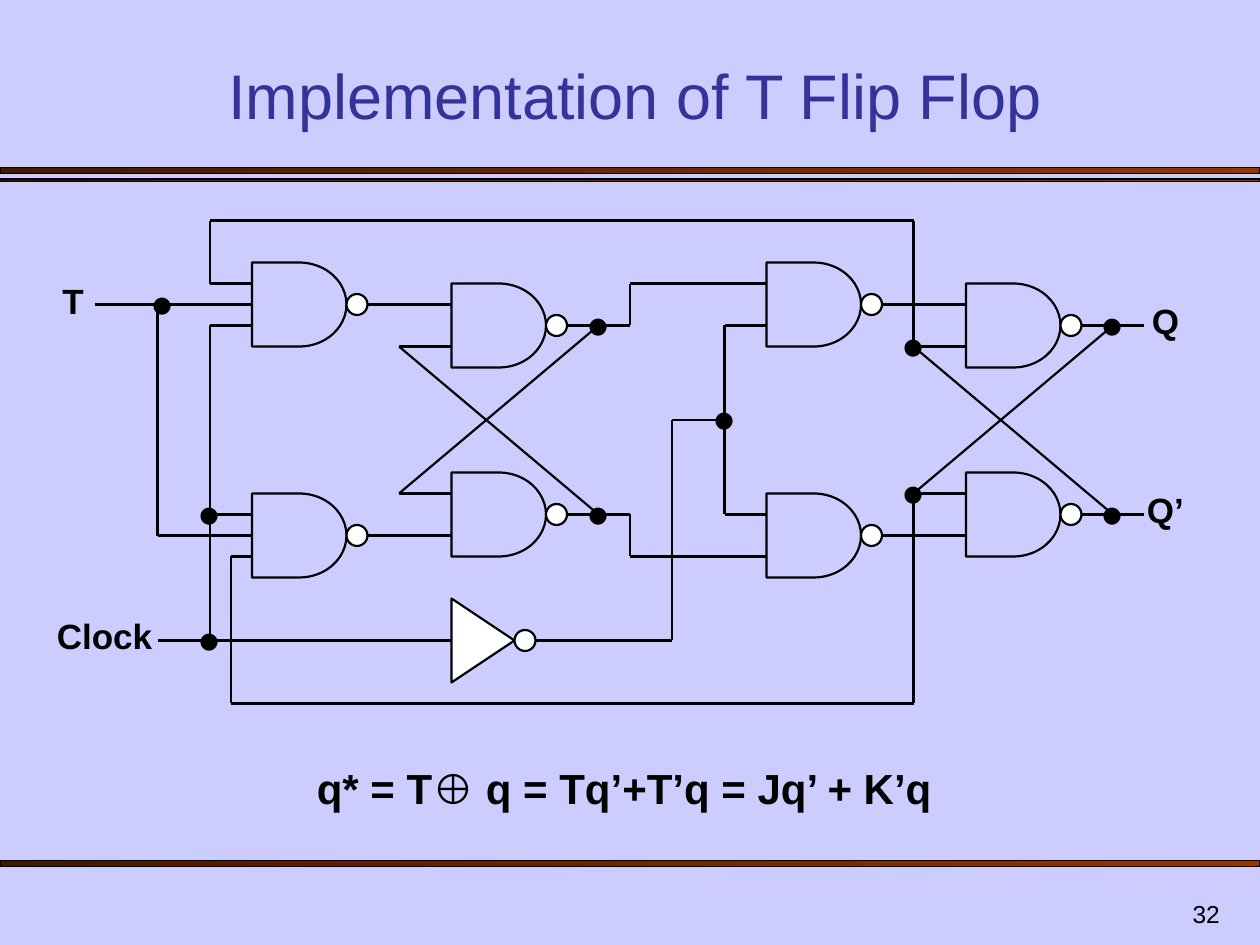
from itertools import pairwise
from typing import NamedTuple

from lxml.etree import SubElement
from pptx import Presentation
from pptx.dml.color import RGBColor
from pptx.enum.shapes import MSO_CONNECTOR, MSO_SHAPE
from pptx.enum.text import MSO_ANCHOR, PP_ALIGN
from pptx.oxml.ns import qn
from pptx.util import Inches, Pt

BLACK, WHITE = "000000", "FFFFFF"
GRID = 12  # circuit grid steps per inch
STAGE_SHIFT = 49  # grid steps between the master and slave stages
LINE_WIDTH = 1.25


class Point(NamedTuple):
    x: float
    y: float


class Label(NamedTuple):
    text: str
    left: float
    top: float
    width: float
    height: float
    size: float
    bold: bool = True


def color(value: str) -> RGBColor:
    return RGBColor.from_string(value)


def steps(count: float) -> int:
    return Inches(count / GRID)


def add_run(paragraph, text: str, size: float, fill: str, bold: bool = False) -> None:
    run = paragraph.add_run()
    run.text = text
    run.font.name = "Arial"
    run.font.size = Pt(size)
    run.font.bold = bold
    run.font.color.rgb = color(fill)


def add_label(slide, label: Label, align=PP_ALIGN.CENTER, anchor=MSO_ANCHOR.TOP) -> None:
    box = slide.shapes.add_textbox(Inches(label.left), Inches(label.top),
                                   Inches(label.width), Inches(label.height))
    frame = box.text_frame
    frame.word_wrap = True
    frame.vertical_anchor = anchor
    paragraph = frame.paragraphs[0]
    paragraph.alignment = align
    add_run(paragraph, label.text, label.size, BLACK, label.bold)


def add_dot(slide, center: Point) -> None:
    left, top = center.x / GRID - 0.25, center.y / GRID - 0.37
    add_label(slide, Label("•", left, top, 0.5, 0.7, 36, False))


def add_wire(slide, *points: tuple[float, float]) -> None:
    for start, end in pairwise(points):
        line = slide.shapes.add_connector(MSO_CONNECTOR.STRAIGHT,
                                          *map(steps, start), *map(steps, end))
        line.line.color.rgb = color(BLACK)
        line.line.width = Pt(LINE_WIDTH)
        SubElement(line._element.spPr, qn("a:effectLst"))


def outline(shape, width: float = LINE_WIDTH) -> None:
    shape.shadow.inherit = False
    shape.line.color.rgb = color(BLACK)
    shape.line.width = Pt(width)


def fill_white(shape) -> None:
    shape.fill.solid()
    shape.fill.fore_color.rgb = color(WHITE)


def add_bubble(shapes, x: float, y: float) -> None:
    bubble = shapes.add_shape(MSO_SHAPE.OVAL, steps(x), steps(y), steps(2), steps(2))
    outline(bubble)
    fill_white(bubble)


def add_nand(slide, x: float, y: float) -> None:
    group = slide.shapes.add_group_shape()
    body = group.shapes.add_shape(MSO_SHAPE.FLOWCHART_DELAY,
                                  steps(x), steps(y), steps(9), steps(8))
    outline(body)
    body.fill.background()
    add_bubble(group.shapes, x + 9, y + 3)


def add_inverter(slide, x: float, y: float) -> None:
    group = slide.shapes.add_group_shape()
    builder = group.shapes.build_freeform(steps(x), steps(y))
    builder.add_line_segments([(steps(x), steps(y + 8)), (steps(x + 6), steps(y + 4))])
    triangle = builder.convert_to_shape()
    outline(triangle)
    fill_white(triangle)
    add_bubble(group.shapes, x + 6, y + 3)


def add_stage(slide, shift: float) -> None:
    """Draw two input gates driving a cross-coupled pair."""
    for x, y in ((24, 25), (24, 47), (43, 27), (43, 45)):
        add_nand(slide, x + shift, y)
    for gate_y, input_y, output_y, other_y in ((29, 33, 31, 49), (51, 47, 49, 31)):
        add_wire(slide, (35 + shift, gate_y), (43 + shift, gate_y))
        add_wire(slide, (43 + shift, input_y), (38 + shift, input_y), (57 + shift, other_y))
        add_wire(slide, (54 + shift, output_y), (60 + shift, output_y))
        add_dot(slide, Point(57 + shift, output_y))


def add_rule(slide, top: float, height: float) -> None:
    bar = slide.shapes.add_shape(MSO_SHAPE.RECTANGLE, 0, Inches(top),
                                 Inches(10), Inches(height))
    outline(bar, 0.75)
    bar.fill.gradient()
    bar.fill.gradient_angle = 0
    for stop, value in zip(bar.fill.gradient_stops, ("461700", "993300")):
        stop.color.rgb = color(value)


def main() -> None:
    presentation = Presentation()
    presentation.slide_width, presentation.slide_height = Inches(10), Inches(7.5)
    slide = presentation.slides.add_slide(presentation.slide_layouts[5])
    slide.background.fill.solid()
    slide.background.fill.fore_color.rgb = color("CCCCFF")

    # Horizontal rules
    for top, height in ((1.33, 0.05), (1.42, 0.02), (6.83, 0.05)):
        add_rule(slide, top, height)

    # Title
    title = slide.shapes.title
    title.left, title.top = Inches(0.58), Inches(0.42)
    title.width, title.height = Inches(8.92), Inches(0.68)
    title.text_frame.vertical_anchor = MSO_ANCHOR.BOTTOM
    paragraph = title.text_frame.paragraphs[0]
    paragraph.alignment = PP_ALIGN.CENTER
    add_run(paragraph, "Implementation of T Flip Flop", 36, "333399")

    # Master and slave stages
    for shift in (0, STAGE_SHIFT):
        add_stage(slide, shift)
    add_inverter(slide, 43, 57)

    # T input, clock and inverted clock
    add_wire(slide, (9, 29), (24, 29))
    add_wire(slide, (15, 29), (15, 51), (24, 51))
    add_wire(slide, (15, 61), (43, 61))
    add_wire(slide, (24, 31), (20, 31), (20, 61))
    add_wire(slide, (20, 49), (24, 49))
    add_wire(slide, (51, 61), (64, 61), (64, 40), (69, 40))
    add_wire(slide, (73, 31), (69, 31), (69, 49), (73, 49))

    # Master outputs to the slave
    add_wire(slide, (60, 31), (60, 27), (73, 27))
    add_wire(slide, (60, 49), (60, 53), (73, 53))

    # Feedback from the outputs
    add_wire(slide, (87, 33), (87, 21), (20, 21), (20, 27), (24, 27))
    add_wire(slide, (87, 47), (87, 67), (22, 67), (22, 53), (24, 53))

    # Junctions
    for x, y in ((15.5, 29), (20, 49), (20, 61), (69, 40), (87, 33), (87, 47)):
        add_dot(slide, Point(x, y))

    # Signal names and equation
    for label in (
        Label("T", 0.33, 2.17, 0.5, 0.44, 20),
        Label("Clock", 0.33, 4.83, 1, 0.44, 20),
        Label("Q", 9, 2.33, 0.5, 0.44, 20),
        Label("Q’", 9, 3.83, 0.5, 0.44, 20),
        Label("q* = T⊕ q = Tq’+T’q = Jq’ + K’q", 0.83, 6, 8.25, 0.5, 24),
    ):
        add_label(slide, label)

    # Slide number
    add_label(slide, Label("32", 7.7, 7, 2.08, 0.42, 14, False),
              PP_ALIGN.RIGHT, MSO_ANCHOR.BOTTOM)

    presentation.save("out.pptx")


if __name__ == "__main__":
    main()
